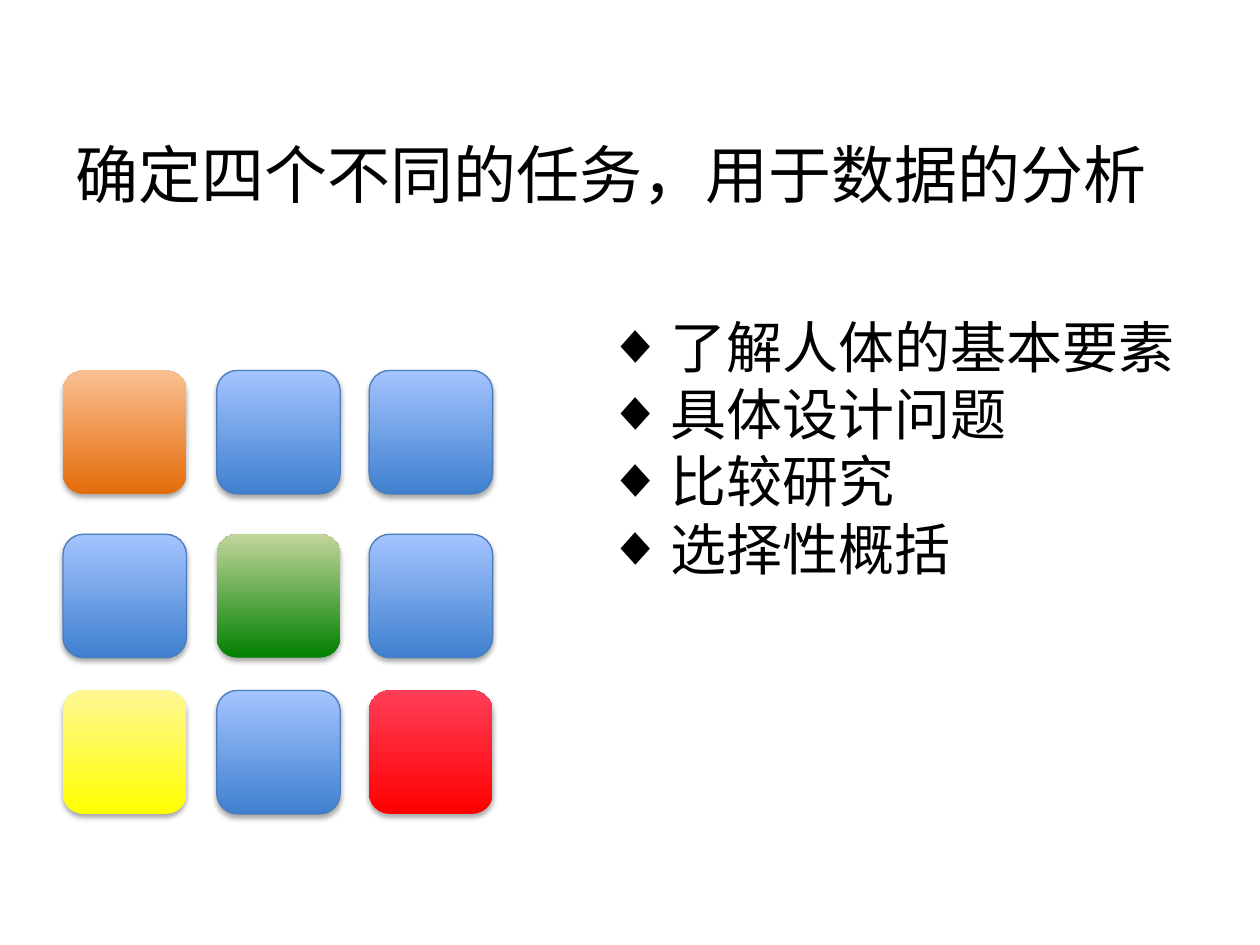
from lxml import etree
from pptx import Presentation
from pptx.dml.color import RGBColor
from pptx.enum.shapes import MSO_SHAPE
from pptx.enum.text import MSO_ANCHOR, MSO_AUTO_SIZE, PP_ALIGN
from pptx.oxml.ns import qn
from pptx.util import Inches, Pt

ROUNDED = MSO_SHAPE.ROUNDED_RECTANGLE
TOP, MIDDLE = MSO_ANCHOR.TOP, MSO_ANCHOR.MIDDLE
LEFT = PP_ALIGN.LEFT
NO_AUTOFIT = MSO_AUTO_SIZE.NONE

TITLE = "确定四个不同的任务，用于数据的分析"
TASKS = ["了解人体的基本要素", "具体设计问题", "比较研究", "选择性概括"]

TILE_COLOURS = {
    "blue": ("3F80CE", "A4C4FF"),
    "orange": ("E46C0A", "FAC090"),
    "green": ("008000", "C3D69B"),
    "yellow": ("FFFF00", "FFF794"),
    "red": ("FF0000", "FF3E58"),
}
TILE_ROWS = [
    ("orange", "blue", "blue"),
    ("blue", "green", "blue"),
    ("yellow", "blue", "red"),
]
COLUMN_LEFTS = (0.5, 1.72, 2.93)
ROW_TOPS = (2.94, 4.24, 5.48)
TILE_SIZE = 0.98


def rgb(value):
    """Return the colour for a hex string."""
    return RGBColor.from_string(value)


def fill_placeholder(placeholder, lines, box, size, anchor):
    """Place a placeholder and set its lines as left-aligned black text."""
    placeholder.left, placeholder.top, placeholder.width, placeholder.height = map(Inches, box)
    frame = placeholder.text_frame
    frame.text = "\n".join(lines)
    frame.word_wrap = True
    frame.auto_size = NO_AUTOFIT
    frame.vertical_anchor = anchor
    for paragraph in frame.paragraphs:
        paragraph.alignment = LEFT
        paragraph.space_before = Pt(0)
        font = paragraph.runs[0].font
        font.name, font.size = "Calibri", Pt(size)
        font.color.rgb = rgb("000000")


def add_diamond(paragraph):
    """Give a paragraph a hanging diamond bullet."""
    properties = paragraph._p.get_or_add_pPr()
    properties.set("marL", str(Inches(0.5)))
    properties.set("indent", str(Inches(-0.5)))
    etree.SubElement(properties, qn("a:buChar"), char="◆")


def add_soft_shadow(shape):
    """Give a shape a faint shadow below it."""
    shape.shadow.inherit = False
    effects = shape._element.spPr.find(qn("a:effectLst"))
    shadow = etree.SubElement(
        effects, qn("a:outerShdw"), blurRad=str(Pt(3.1)), dist=str(Pt(1.8)),
        dir="5400000", rotWithShape="0")
    black = etree.SubElement(shadow, qn("a:srgbClr"), val="000000")
    etree.SubElement(black, qn("a:alpha"), val="35000")


def add_tile(slide, left, top, colour):
    """Add one square tile, dark at the bottom and light at the top."""
    tile = slide.shapes.add_shape(
        ROUNDED, Inches(left), Inches(top), Inches(TILE_SIZE), Inches(TILE_SIZE))
    tile.fill.gradient()
    tile.fill.gradient_angle = 90
    for stop, shade in zip(tile.fill.gradient_stops, TILE_COLOURS[colour]):
        stop.color.rgb = rgb(shade)
    if colour == "blue":
        tile.line.color.rgb = rgb("4B7EBC")
        tile.line.width = Pt(0.75)
    else:
        tile.line.fill.background()
    add_soft_shadow(tile)


def main():
    """Build the slide and save it."""
    presentation = Presentation()
    presentation.slide_width, presentation.slide_height = Inches(10), Inches(7.5)
    slide = presentation.slides.add_slide(presentation.slide_layouts[1])
    title, task_list = slide.placeholders
    fill_placeholder(title, [TITLE], (0.5, 1.02, 8.78, 0.71), 36, MIDDLE)
    fill_placeholder(task_list, TASKS, (4.72, 2.43, 4.73, 2.79), 32, TOP)
    for task in task_list.text_frame.paragraphs:
        add_diamond(task)
    for top, row in zip(ROW_TOPS, TILE_ROWS):
        for left, colour in zip(COLUMN_LEFTS, row):
            add_tile(slide, left, top, colour)
    presentation.save("out.pptx")


if __name__ == "__main__":
    main()
